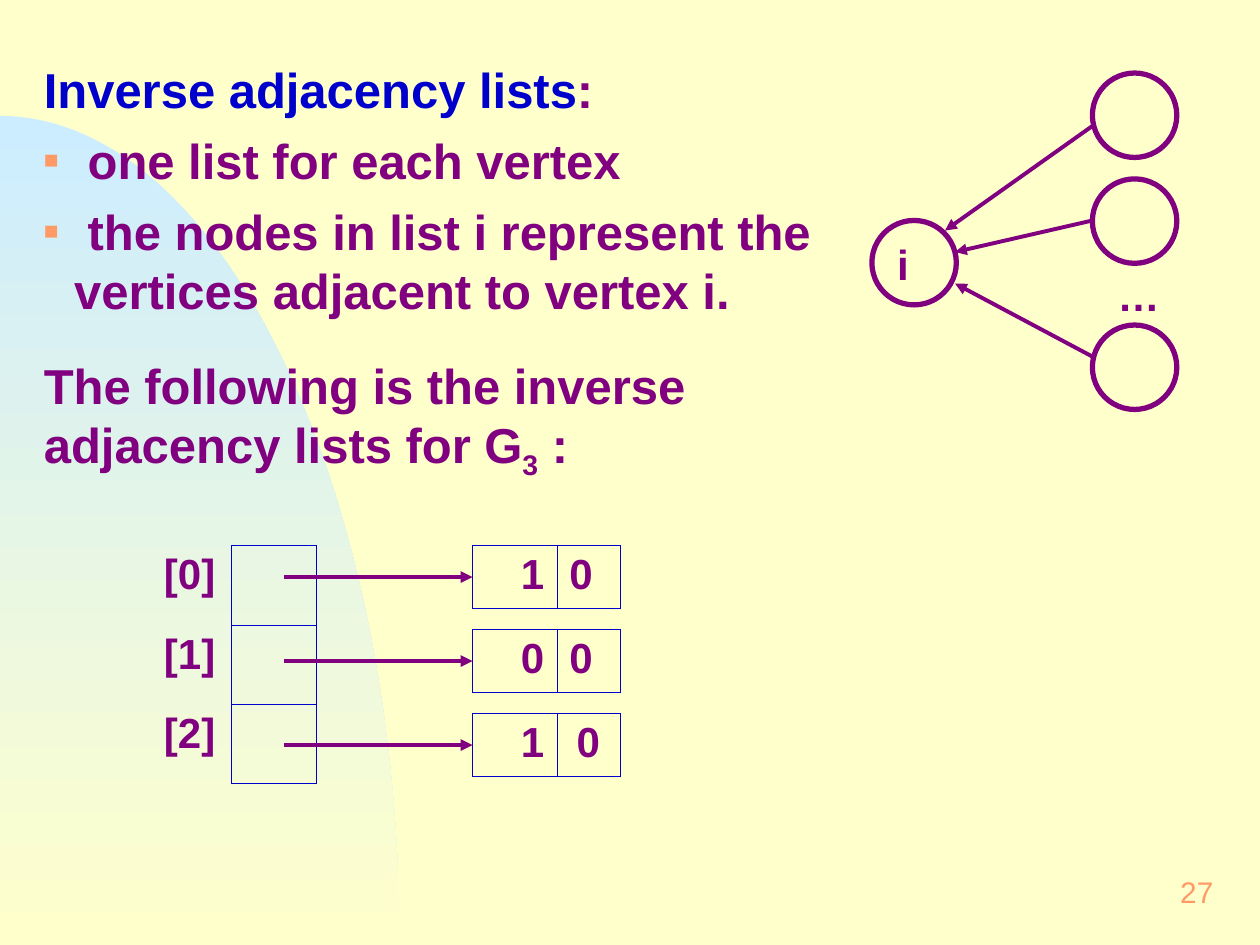
import pptx
import pptx.util
import pptx.dml.color
import pptx.enum.shapes
import pptx.enum.text
import pptx.oxml
import pptx.oxml.ns
import lxml.etree

Inches = pptx.util.Inches
Pt = pptx.util.Pt
Shape = pptx.enum.shapes.MSO_SHAPE
Align = pptx.enum.text.PP_ALIGN
Anchor = pptx.enum.text.MSO_ANCHOR
qn = pptx.oxml.ns.qn
rgb = pptx.dml.color.RGBColor.from_string

COLORS = {
    "paper": "FFFFCC",
    "sky": "CCECFF",
    "purple": "800080",
    "blue": "0000CC",
    "orange": "FF9966",
}


def add_span(para, text, size=24, color="purple", bold=True, align=None, baseline=None):
    span = para.add_run()
    span.text = text
    span.font.name = "Arial"
    span.font.size = Pt(size)
    span.font.bold = bold
    span.font.color.rgb = rgb(COLORS[color])
    if align is not None:
        para.alignment = align
    if baseline is not None:
        span.font._element.set("baseline", str(baseline))


def add_arrow(page, start, end):
    arrow = page.shapes.add_connector(
        pptx.enum.shapes.MSO_CONNECTOR.STRAIGHT, *map(Inches, start + end))
    arrow.line.color.rgb = rgb(COLORS["purple"])
    arrow.line.width = Pt(2.25)
    line = arrow.line._get_or_add_ln()
    lxml.etree.SubElement(line, qn("a:tailEnd"), type="triangle")
    lxml.etree.SubElement(arrow._element.spPr, qn("a:effectLst"))
    return arrow


deck = pptx.Presentation()
deck.slide_width = Inches(10)
deck.slide_height = Inches(7.5)
page = deck.slides.add_slide(deck.slide_layouts[6])
page.background.fill.solid()
page.background.fill.fore_color.rgb = rgb(COLORS["paper"])

curve = [(0, 0.92), (1.75, 0.92), (3.17, 3.87), (3.17, 7.5)]
weights = [((1 - t) ** 3, 3 * t * (1 - t) ** 2, 3 * t * t * (1 - t), t ** 3)
           for t in (step / 60 for step in range(1, 61))]
outline = [tuple(Inches(sum(w * point[axis] for w, point in zip(weight, curve)))
                 for axis in (0, 1)) for weight in weights]
builder = page.shapes.build_freeform(0, Inches(0.92))
builder.add_line_segments(outline + [(0, Inches(7.5))], close=True)
hill = builder.convert_to_shape()
hill.shadow.inherit = False
hill.line.fill.background()
hill.fill.gradient()
hill.fill.gradient_angle = 270
for stop, color in zip(hill.fill.gradient_stops, ("sky", "paper")):
    stop.color.rgb = rgb(COLORS[color])

box = page.shapes.add_textbox(Inches(7.67), Inches(6.83), Inches(2.08), Inches(0.5))
box.text_frame.word_wrap = True
box.text_frame.vertical_anchor = Anchor.MIDDLE
box.text_frame.margin_left = box.text_frame.margin_right = Inches(0.12)
add_span(box.text_frame.paragraphs[0], "27", size=17, color="orange", bold=False,
         align=Align.RIGHT)

box = page.shapes.add_textbox(Inches(0.25), Inches(0.42), Inches(6.5), Inches(3.45))
box.text_frame.word_wrap = True
para = box.text_frame.paragraphs[0]
add_span(para, "Inverse adjacency lists", size=28, color="blue")
add_span(para, ":", size=28)
for text in (" one list for each vertex",
             " the nodes in list i represent the vertices adjacent to vertex i."):
    para = box.text_frame.add_paragraph()
    para.space_before = Pt(7)
    properties = para._p.get_or_add_pPr()
    properties.set("marL", str(Inches(0.24)))
    properties.set("indent", str(-Inches(0.24)))
    bullet_color = lxml.etree.SubElement(properties, qn("a:buClr"))
    lxml.etree.SubElement(bullet_color, qn("a:srgbClr"), val=COLORS["orange"])
    lxml.etree.SubElement(properties, qn("a:buSzPct"), val="50000")
    lxml.etree.SubElement(properties, qn("a:buFont"), typeface="Arial")
    lxml.etree.SubElement(properties, qn("a:buChar"), char="■")
    add_span(para, text, size=28)
para = box.text_frame.add_paragraph()
para.space_before = Pt(21)
add_span(para, "The following is the inverse adjacency lists for G", size=28)
add_span(para, "3", size=28, baseline=-25000)
add_span(para, " :", size=28)

for left, top in ((6.92, 1.75), (8.67, 0.58), (8.67, 1.42), (8.67, 2.58)):
    vertex = page.shapes.add_shape(
        Shape.OVAL, Inches(left), Inches(top), Inches(0.67), Inches(0.67))
    vertex.shadow.inherit = False
    vertex.fill.background()
    vertex.line.color.rgb = rgb(COLORS["purple"])
    vertex.line.width = Pt(3)
for start, end in (((8.67, 1), (7.5, 1.83)), ((8.67, 1.75), (7.58, 2)),
                   ((8.67, 2.83), (7.58, 2.25))):
    add_arrow(page, start, end)
for text, left, top in (("i", 7, 1.83), ("…", 8.75, 2.08)):
    box = page.shapes.add_textbox(Inches(left), Inches(top), Inches(0.5), Inches(0.52))
    box.text_frame.word_wrap = True
    box.text_frame.margin_left = box.text_frame.margin_right = Inches(0.12)
    box.text_frame.margin_top = box.text_frame.margin_bottom = Inches(0.06)
    add_span(box.text_frame.paragraphs[0], text)

TOP, NODE_STEP = 4.33, 2 / 3
heads = [[(f"[{index}]", Align.CENTER, "R"), ("", None, "LRTB")] for index in range(3)]
tables = [(1.17, TOP, (0.67, 0.67), 0.63, heads)]
for index, (vertex, align) in enumerate((("1", Align.LEFT), ("0", Align.LEFT),
                                         ("1", Align.CENTER))):
    node = [(vertex, Align.RIGHT, "LRTB"), ("0", align, "LRTB")]
    tables.append((3.75, TOP + index * NODE_STEP, (0.67, 0.5), 0.5, [node]))

frames = []
for left, top, widths, height, rows in tables:
    frame = page.shapes.add_table(
        len(rows), len(widths), Inches(left), Inches(top),
        Inches(sum(widths)), Inches(height * len(rows)))
    frames.append(frame)
    frame.table.first_row = False
    frame.table.horz_banding = False
    for column, width in zip(frame.table.columns, widths):
        column.width = Inches(width)
    for row_index, row in enumerate(rows):
        frame.table.rows[row_index].height = Inches(height)
        for column_index, (text, align, sides) in enumerate(row):
            cell = frame.table.cell(row_index, column_index)
            properties = cell._tc.get_or_add_tcPr()
            for side in "LRTB":
                border = lxml.etree.SubElement(
                    properties, qn(f"a:ln{side}"), w=str(Pt(0.45)))
                if side in sides:
                    fill = lxml.etree.SubElement(border, qn("a:solidFill"))
                    lxml.etree.SubElement(fill, qn("a:srgbClr"), val=COLORS["blue"])
                else:
                    lxml.etree.SubElement(border, qn("a:noFill"))
            cell.fill.background()
            if text:
                add_span(cell.text_frame.paragraphs[0], text, align=align)

for index, frame in enumerate(frames[1:]):
    middle = TOP + 0.25 + index * NODE_STEP
    arrow = add_arrow(page, (2.25, middle), (3.75, middle))
    arrow.end_connect(frame, 1)

deck.save("out.pptx")
